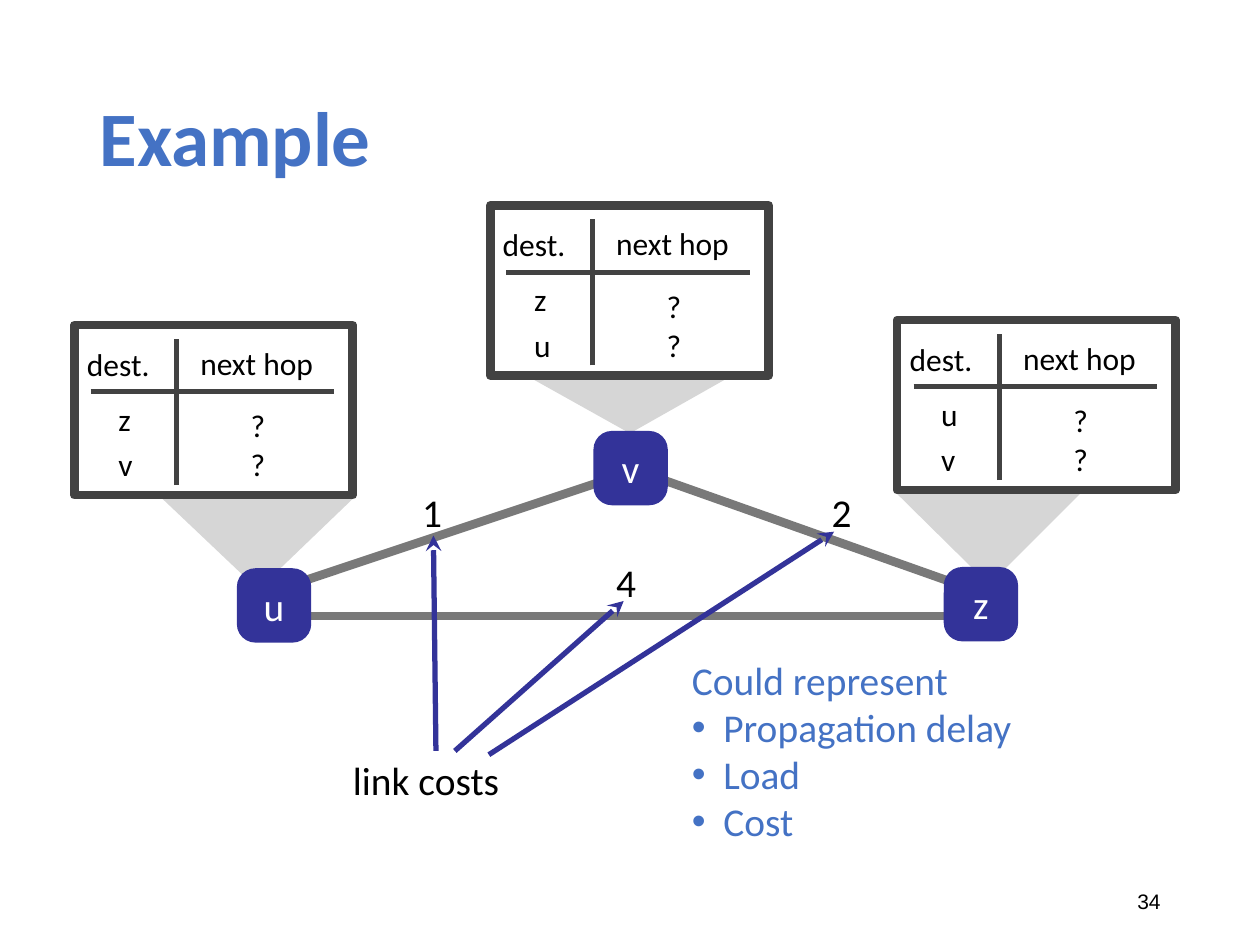
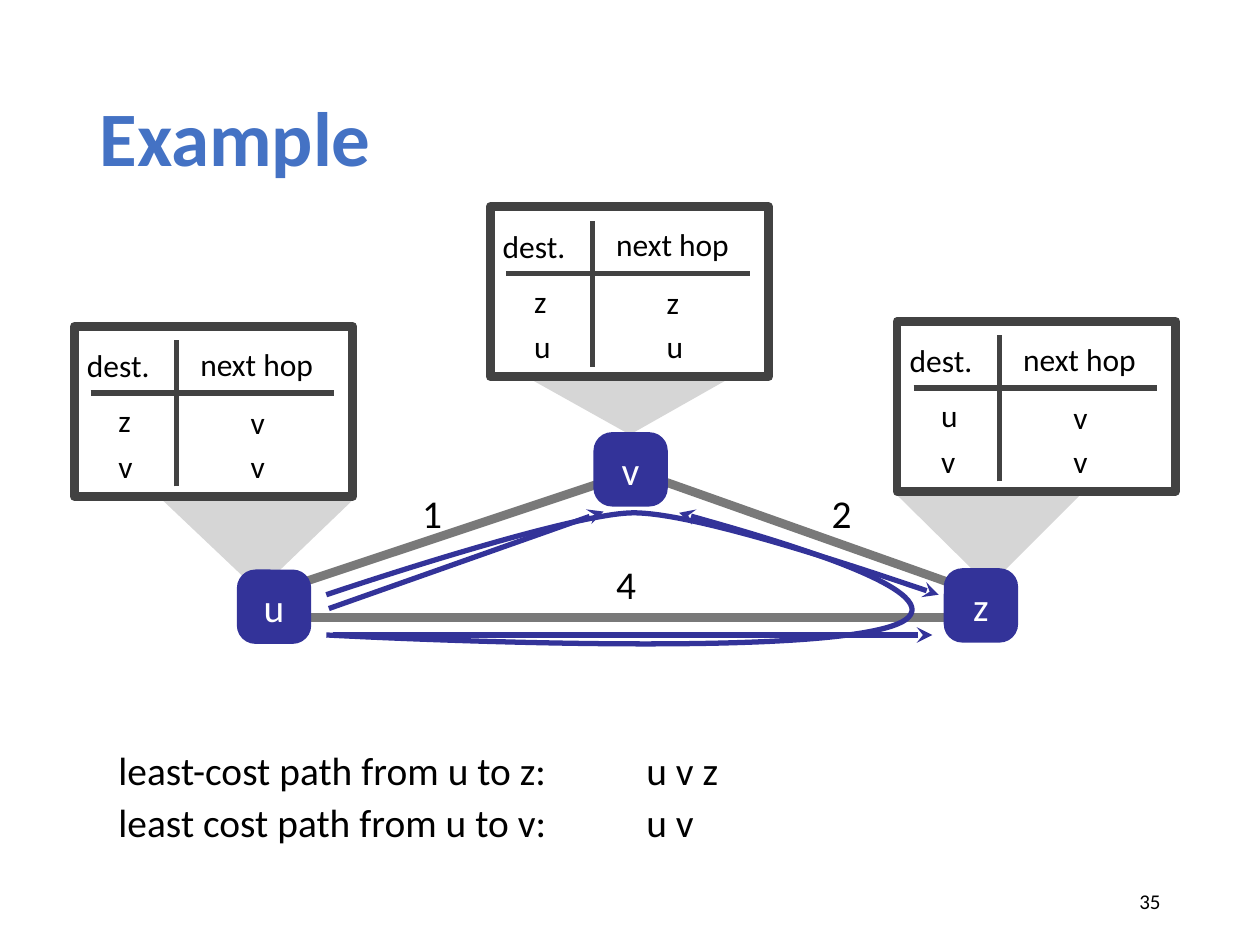
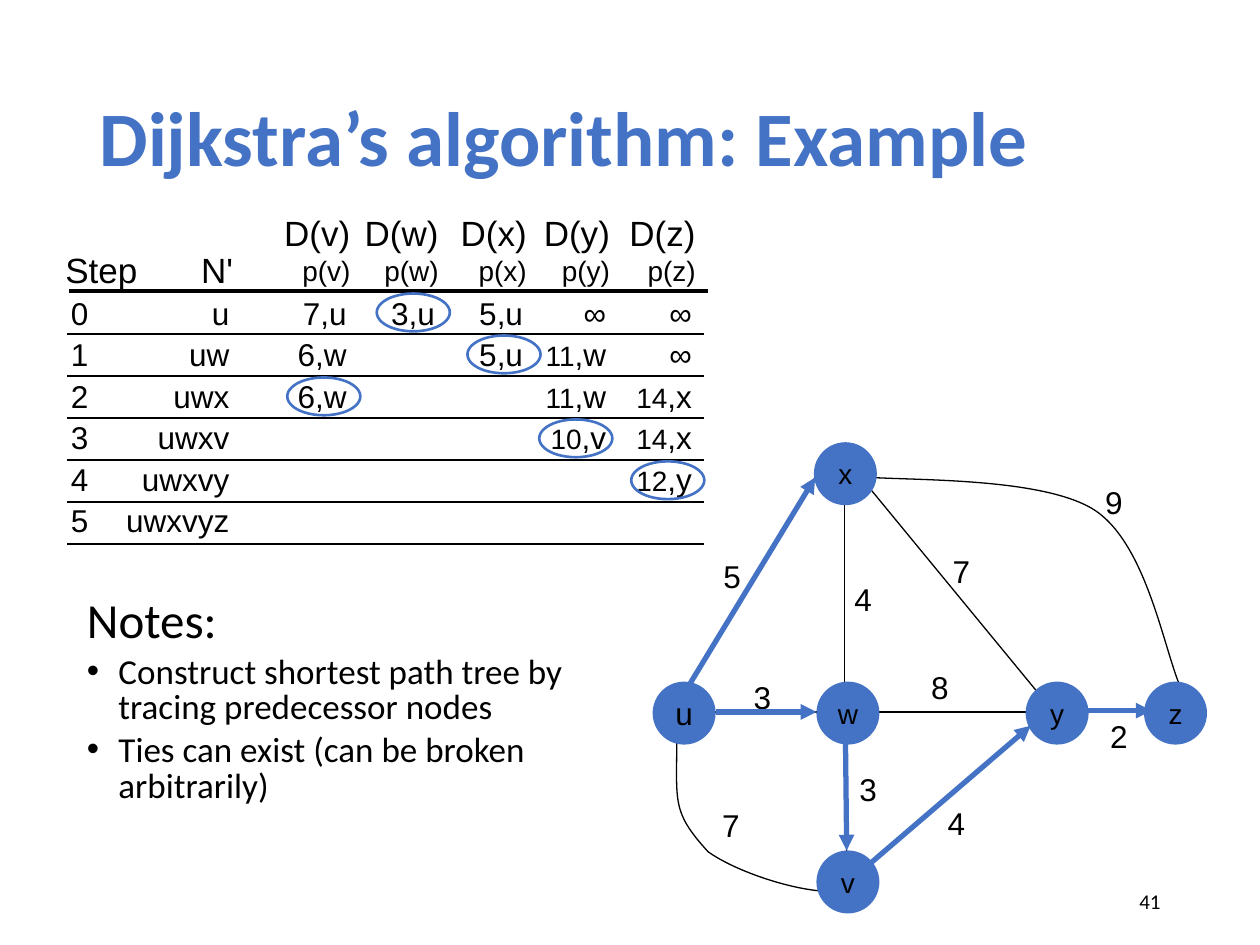
from lxml.etree import SubElement
from pptx import Presentation
from pptx.dml.color import RGBColor
from pptx.enum.shapes import MSO_CONNECTOR, MSO_SHAPE
from pptx.enum.text import MSO_ANCHOR, MSO_AUTO_SIZE, PP_ALIGN
from pptx.oxml.ns import qn
from pptx.util import Emu, Inches, Pt

COLUMNS, ROWS = 10, 7.5
CELL = Inches(1)
BLACK, WHITE, BLUE, NAVY = "000000", "FFFFFF", "4472C4", "333399"
FRAME_GRAY, LINK_GRAY, BEAM_GRAY = "424242", "797979", "D6D6D6"
TITLE_AREA = (0.69, 0.4, 8.62, 1.45)
NUMBER_AREA = (7.06, 6.95, 2.25, 0.4)
TITLE_LAYOUT, LIST_LAYOUT = 5, 1

ROUTERS = {"u": (1.88, 4.51), "v": (4.71, 3.42), "z": (7.49, 4.5)}
FRAMES = {"u": (0.59, 2.58), "v": (3.89, 1.63), "z": (7.12, 2.54)}
DESTINATIONS = {"u": "zv", "v": "zu", "z": "uv"}
BEAMS = [
    [(7.12, 3.92), (8.57, 3.92), (7.85, 4.64)],
    [(4.23, 3.01), (5.76, 3.01), (5, 3.44)],
    [(1.28, 3.95), (2.81, 3.95), (2.05, 4.68)],
]
LINKS = [
    ((4.87, 3.79), (2.35, 4.63)),
    ((2.42, 4.89), (7.74, 4.89)),
    ((5.21, 3.79), (7.75, 4.69)),
]
LINK_COSTS = {"4": (4.85, 4.39), "1": (3.31, 3.83), "2": (6.56, 3.83)}

STEP_RIGHT, VISITED_RIGHT = 0.8, 1.92
DISTANCE_RIGHTS = {"v": 2.85, "w": 3.55, "x": 4.25, "y": 4.91, "z": 5.59}
RING_LEFTS = {"v": 2.28, "w": 2.99, "x": 3.71, "y": 4.28, "z": 5.01}
STEPS = [
    ("u", {"v": "7,u", "w": "3,u", "x": "5,u", "y": "∞", "z": "∞"}, "w"),
    ("uw", {"v": "6,w", "x": "5,u", "y": "11,w", "z": "∞"}, "x"),
    ("uwx", {"v": "6,w", "y": "11,w", "z": "14,x"}, "v"),
    ("uwxv", {"y": "10,v", "z": "14,x"}, "y"),
    ("uwxvy", {"z": "12,y"}, "z"),
    ("uwxvyz", {}, None),
]
GRAPH_NODES = {
    "x": (6.46, 3.51), "u": (5.18, 5.41), "z": (9.08, 5.41),
    "v": (6.48, 6.75), "y": (8.14, 5.41), "w": (6.48, 5.41),
}
GRAPH_EDGES = [
    ((5.59, 5.65), (6.59, 5.65)), ((6.7, 3.9), (6.7, 5.47)),
    ((6.46, 3.8), (5.39, 5.56)), ((6.71, 5.73), (6.72, 6.89)),
    ((8.3, 5.66), (6.72, 7)), ((8.6, 5.64), (9.16, 5.64)),
    ((6.8, 3.75), (8.33, 5.61)), ((6.96, 5.65), (8.16, 5.65)),
]
GRAPH_CURVES = [
    [(5.37, 5.77), (5.38, 6.36), (5.31, 6.42), (5.62, 6.76),
     (5.93, 6.98), (6.64, 7.16), (6.73, 7.03)],
    [(6.8, 3.78), (7.11, 3.82), (8.26, 3.77), (8.69, 4.05),
     (9.11, 4.33), (9.24, 5.18), (9.38, 5.48)],
]
GRAPH_COSTS = [
    ("3", 5.88, 5.33), ("4", 6.68, 4.55), ("5", 5.64, 4.37),
    ("3", 6.72, 6.06), ("7", 5.63, 6.35), ("4", 7.42, 6.33),
    ("8", 7.29, 5.25), ("2", 8.71, 5.64), ("7", 7.46, 4.33),
    ("9", 8.67, 3.78),
]
TREE_ARROWS = [
    ((8.61, 5.64), (9.14, 5.64)), ((6.91, 6.85), (8.18, 5.76)),
    ((6.71, 5.85), (6.72, 6.75)), ((5.48, 5.42), (6.47, 3.79)),
    ((5.68, 5.65), (6.48, 5.65)),
]


def grid(*cells):
    return [Emu(round(cell * CELL)) for cell in cells]


def color(value):
    return RGBColor.from_string(value)


def apply(target, values):
    for name, value in values.items():
        setattr(target, name, value)


def lower(point, drop):
    return point[0], point[1] + drop


def paint(shape, fill=None, line=None, width=1):
    shape.shadow.inherit = False
    if fill:
        shape.fill.solid()
        shape.fill.fore_color.rgb = color(fill)
    else:
        shape.fill.background()
    if line:
        shape.line.color.rgb = color(line)
        shape.line.width = Pt(width)
    else:
        shape.line.fill.background()


def format_frame(frame, inset=0.04, anchor=MSO_ANCHOR.MIDDLE):
    side, edge = grid(inset, 0.04)
    apply(frame, {
        "word_wrap": True, "auto_size": MSO_AUTO_SIZE.NONE,
        "vertical_anchor": anchor, "margin_left": side,
        "margin_right": side, "margin_top": edge, "margin_bottom": edge,
    })


def add_span(para, text, size, font="Calibri", ink=BLACK, bold=False):
    span = para.add_run()
    span.text = text
    apply(span.font, {"size": Pt(size), "name": font, "bold": bold})
    span.font.color.rgb = color(ink)


def write(shape, lines, align=PP_ALIGN.LEFT, inset=0.04, **style):
    frame = shape.text_frame
    format_frame(frame, inset)
    for index, spans in enumerate(lines):
        para = frame.add_paragraph() if index else frame.paragraphs[0]
        para.alignment = align
        for text, size in spans:
            add_span(para, text, size, **style)


def add_text(slide, lines, area, **style):
    write(slide.shapes.add_textbox(*grid(*area)), lines, **style)


def add_label(slide, text, point, width, height=0.46, size=22.5, **style):
    add_text(slide, [[(text, size)]], (*point, width, height), **style)


def add_right_text(slide, lines, right, top, width, height):
    add_text(slide, lines, (right - width, top, width, height),
             align=PP_ALIGN.RIGHT, inset=0.1, font="Arial")


def add_arrowhead(shape, kind):
    line = shape._element.spPr.find(qn("a:ln"))
    SubElement(line, qn("a:tailEnd"), type=kind)


def add_line(slide, start, end, ink, width, head=None):
    line = slide.shapes.add_connector(
        MSO_CONNECTOR.STRAIGHT, *grid(*start, *end))
    line.line.color.rgb = color(ink)
    line.line.width = Pt(width)
    SubElement(line._element.spPr, qn("a:effectLst"))
    if head:
        add_arrowhead(line, head)


def add_outline(slide, points, closed):
    builder = slide.shapes.build_freeform(*grid(*points[0]))
    builder.add_line_segments(
        [grid(*point) for point in points[1:]], close=closed)
    return builder.convert_to_shape()


def add_curve(slide, points, ink, width, head=None):
    shape = add_outline(slide, points, False)
    segments = list(shape._element.iter(qn("a:lnTo")))
    for first in range(0, len(segments), 3):
        curve = segments[first].makeelement(qn("a:cubicBezTo"))
        segments[first].addprevious(curve)
        for segment in segments[first:first + 3]:
            curve.append(segment[0])
            segment.getparent().remove(segment)
    paint(shape, line=ink, width=width)
    if head:
        add_arrowhead(shape, head)


def add_node(slide, kind, text, point, diameter, fill, size, **style):
    node = slide.shapes.add_shape(kind, *grid(*point, diameter, diameter))
    paint(node, fill)
    write(node, [[(text, size)]], align=PP_ALIGN.CENTER, inset=0, **style)
    return node


def place(shape, area):
    apply(shape, dict(zip(("left", "top", "width", "height"), grid(*area))))


def add_slide(deck, layout, title, number, number_font="Calibri"):
    slide = deck.slides.add_slide(deck.slide_layouts[layout])
    place(slide.shapes.title, TITLE_AREA)
    write(slide.shapes.title, [[(title, 44)]], inset=0.1, ink=BLUE, bold=True)
    slide.shapes.title.text_frame.paragraphs[0].line_spacing = 0.9
    add_text(slide, [[(number, 12)]], NUMBER_AREA,
             align=PP_ALIGN.RIGHT, inset=0.1, font=number_font)
    return slide


def add_list(slide, heading, items, area, sizes, ink, inset, anchor,
             line_spacing, gap):
    body = slide.placeholders[1]
    place(body, area)
    frame = body.text_frame
    format_frame(frame, inset, anchor)
    for index, text in enumerate([heading, *items]):
        para = frame.add_paragraph() if index else frame.paragraphs[0]
        size = sizes[min(index, 1)]
        apply(para, {"line_spacing": line_spacing,
                     "space_before": Pt(gap * size)})
        indent = grid(0.25 if index else 0)[0]
        properties = para._p.get_or_add_pPr()
        properties.set("marL", str(indent))
        properties.set("indent", str(-indent))
        if index == 0:
            SubElement(properties, qn("a:buNone"))
        add_span(para, text, size, ink=ink)


def add_routing_table(slide, origin, destinations, hops, hop_top):
    left, top = origin
    frame = slide.shapes.add_shape(
        MSO_SHAPE.RECTANGLE, *grid(left, top, 2.21, 1.35))
    paint(frame, line=FRAME_GRAY, width=5)
    add_label(slide, "dest.", (left + 0.06, top + 0.08), 0.8, size=18)
    add_label(slide, "next hop", (left + 0.96, top + 0.07), 1.23, size=18)
    add_line(slide, (left + 0.13, top + 0.53), (left + 2.06, top + 0.53),
             FRAME_GRAY, 3)
    add_line(slide, (left + 0.81, top + 1.27), (left + 0.81, top + 0.11),
             FRAME_GRAY, 3)
    for texts, offset, first in ((destinations, 0.31, 0.49),
                                 (hops, 1.36, hop_top)):
        for text, row in zip(texts, (first, 0.85)):
            add_label(slide, text, (left + offset, top + row), 0.3, 0.51, 18)


def add_network(slide, hops, hop_top, drop=0):
    for points in BEAMS:
        beam = add_outline(slide, [lower(p, drop) for p in points], True)
        paint(beam, BEAM_GRAY)
    for text, point in LINK_COSTS.items():
        add_label(slide, text, lower(point, drop), 0.29)
    for start, end in LINKS:
        add_line(slide, lower(start, drop), lower(end, drop), LINK_GRAY, 5)
    for name, point in ROUTERS.items():
        node = add_node(slide, MSO_SHAPE.ROUNDED_RECTANGLE, name,
                        lower(point, drop), 0.59, NAVY, 22.5, ink=WHITE)
        node.adjustments[0] = 0.25
    for name, origin in FRAMES.items():
        add_routing_table(slide, lower(origin, drop), DESTINATIONS[name],
                          hops[name], hop_top)


def build_link_costs(deck):
    slide = add_slide(deck, LIST_LAYOUT, "Example", "34", "Arial")
    add_network(slide, {name: "??" for name in ROUTERS}, 0.54)
    add_label(slide, "link costs", (2.76, 5.96), 1.53)
    for start, end in (((3.46, 5.96), (3.44, 4.25)),
                       ((3.61, 5.96), (4.95, 4.77)),
                       ((3.88, 5.99), (6.62, 4.22))):
        add_line(slide, start, end, NAVY, 3, "stealth")
    add_list(slide, "Could represent", ["Propagation delay", "Load", "Cost"],
             (5.45, 5.16, 3.49, 1.59), (22.5, 22.5), BLUE, 0.04,
             MSO_ANCHOR.MIDDLE, 1.0, 0)


def build_least_cost(deck):
    slide = add_slide(deck, TITLE_LAYOUT, "Example", "35")
    add_network(slide, {"u": "vv", "v": "zu", "z": "vv"}, 0.5, 0.01)
    for row, (question, answer) in enumerate((
            ("least-cost path from u to z:", "u v z"),
            ("least cost path from u to v:", "u v"))):
        top = 5.88 + 0.41 * row
        add_label(slide, question, (0.9, top), 4.05)
        add_label(slide, answer, (5.09, top), 0.9)
    for start, end in (((2.64, 5.04), (7.4, 5.04)),
                       ((2.61, 4.83), (4.79, 4.06))):
        add_line(slide, start, end, NAVY, 3, "stealth")
    for points in (
            [(2.59, 4.72), (2.59, 4.72), (4.51, 4.07), (5.03, 4.07),
             (5.55, 4.07), (7.45, 4.72), (7.45, 4.72)],
            [(2.59, 5.04), (2.59, 5.04), (6.84, 5.27), (7.21, 4.9),
             (7.47, 4.64), (5.39, 4.07), (5.39, 4.07)]):
        add_curve(slide, points, NAVY, 3, "stealth")


def distance_spans(text):
    number, comma, previous = text.partition(",")
    if len(number) == 2:
        return [(number, 16), (comma + previous, 18)]
    return [(text, 18)]


def add_step_table(slide):
    add_right_text(slide, [[("Step", 20)]], 1.19, 1.92, 0.9, 0.44)
    add_right_text(slide, [[("N'", 20)]], 1.95, 1.92, 0.6, 0.44)
    for name, right in DISTANCE_RIGHTS.items():
        add_right_text(slide, [[(f"D({name})", 20)], [(f"p({name})", 16)]],
                       right + 0.03, 1.63, 0.9, 0.7)
    add_line(slide, (0.55, 2.31), (5.62, 2.31), BLACK, 2.25)
    for step, (visited, distances, chosen) in enumerate(STEPS):
        top = 2.28 + 0.33 * step
        rule = 2.65 + 0.333 * step
        add_right_text(slide, [[(str(step), 18)]], STEP_RIGHT, top, 0.34, 0.4)
        add_right_text(slide, [[(visited, 18)]], VISITED_RIGHT, top, 1.1, 0.4)
        for name, text in distances.items():
            add_right_text(slide, [distance_spans(text)],
                           DISTANCE_RIGHTS[name], top, 0.8, 0.4)
        add_line(slide, (0.53, rule), (5.59, rule), BLACK, 1)
        if chosen:
            ring = slide.shapes.add_shape(MSO_SHAPE.OVAL, *grid(
                RING_LEFTS[chosen], rule - 0.32, 0.58, 0.3))
            paint(ring, line=BLUE, width=1.5)


def add_graph(slide):
    for start, end in GRAPH_EDGES:
        add_line(slide, start, end, BLACK, 0.75)
    for points in GRAPH_CURVES:
        add_curve(slide, points, BLACK, 0.75)
    for text, left, top in GRAPH_COSTS:
        add_label(slide, text, (left, top), 0.34, 0.4, 18,
                  align=PP_ALIGN.CENTER, font="Arial")
    for name, point in GRAPH_NODES.items():
        add_node(slide, MSO_SHAPE.OVAL, name, point, 0.5, BLUE,
                 18 if name == "u" else 16, font="Arial")
    for start, end in TREE_ARROWS:
        add_line(slide, start, end, BLUE, 3, "triangle")


def build_dijkstra(deck):
    slide = add_slide(deck, LIST_LAYOUT, "Dijkstra’s algorithm: Example", "41")
    add_graph(slide)
    add_step_table(slide)
    add_list(slide, "Notes:",
             ["Construct shortest path tree by tracing predecessor nodes",
              "Ties can exist (can be broken arbitrarily)"],
             (0.59, 4.71, 4.17, 2.62), (28, 20), BLACK, 0.1,
             MSO_ANCHOR.TOP, 0.85, 0.2)


def main():
    deck = Presentation()
    deck.slide_width, deck.slide_height = grid(COLUMNS, ROWS)
    build_link_costs(deck)
    build_least_cost(deck)
    build_dijkstra(deck)
    deck.save("out.pptx")


main()
